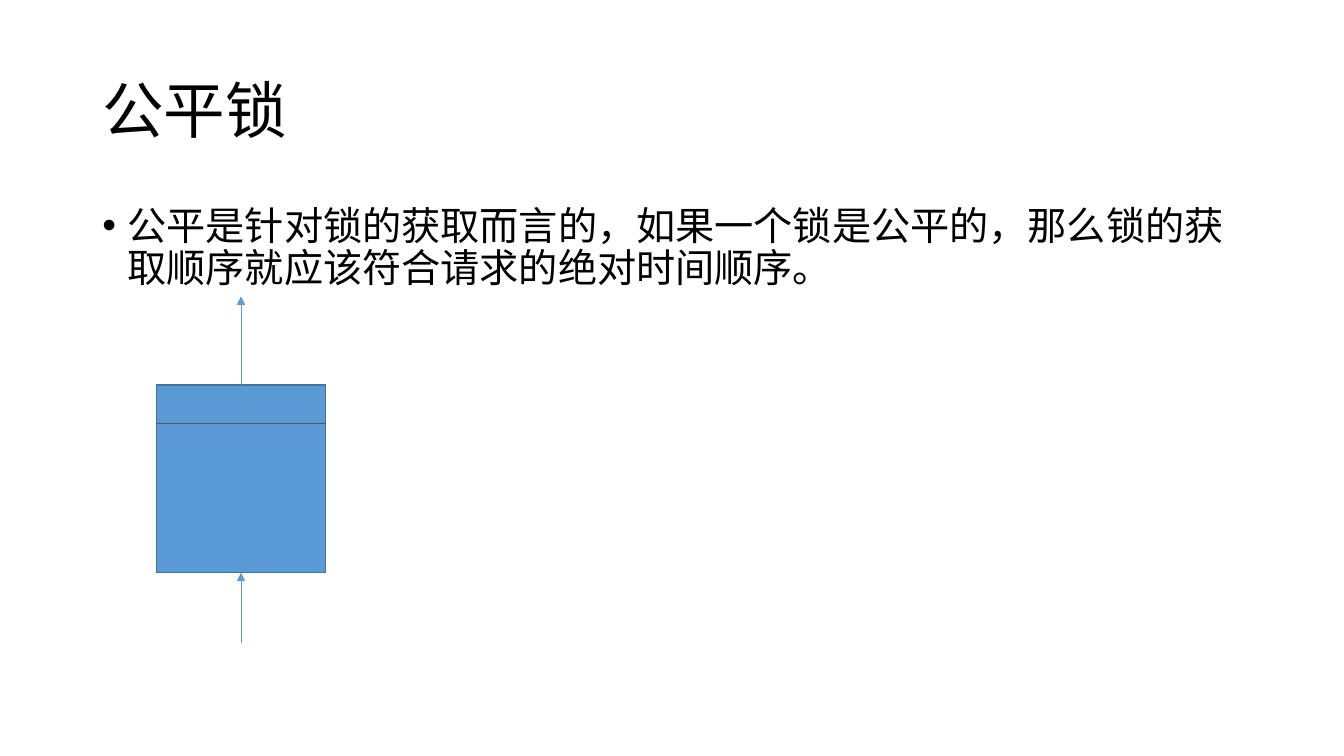
import pptx
import pptx.util
import pptx.dml.color
import pptx.enum.shapes
import pptx.enum.text
import pptx.oxml.ns
from lxml import etree

Cm = pptx.util.Cm
Pt = pptx.util.Pt
Anchor = pptx.enum.text.MSO_ANCHOR
COLORS = {"text": "000000", "fill": "5B9BD5", "edge": "43739E", "rule": "595959"}


def color(name):
    return pptx.dml.color.RGBColor.from_string(COLORS[name])


def add_tag(parent, tag, **attrs):
    return etree.SubElement(parent, pptx.oxml.ns.qn(tag), attrs)


def add_text(slide, box, text, size, anchor, bullet=False):
    frame = slide.shapes.add_textbox(*map(Cm, box)).text_frame
    frame.word_wrap = True
    frame.vertical_anchor = anchor
    para = frame.paragraphs[0]
    para.text = text
    para.line_spacing = 0.9
    if bullet:
        props = para._p.get_or_add_pPr()
        indent = Cm(0.635)
        props.set("marL", str(indent))
        props.set("indent", str(-indent))
        add_tag(props, "a:buFont", typeface="Arial")
        add_tag(props, "a:buChar", char="•")
    font = para.runs[0].font
    for key, value in {"name": "Calibri", "size": Pt(size)}.items():
        setattr(font, key, value)
    font.color.rgb = color("text")


def add_box(slide, box):
    shape = slide.shapes.add_shape(
        pptx.enum.shapes.MSO_SHAPE.RECTANGLE, *map(Cm, box))
    shape.shadow.inherit = False
    shape.fill.solid()
    shape.fill.fore_color.rgb = color("fill")
    shape.line.color.rgb = color("edge")
    shape.line.width = Pt(1)


def add_line(slide, start, end, tint, arrow=False):
    line = slide.shapes.add_connector(
        pptx.enum.shapes.MSO_CONNECTOR.STRAIGHT, *map(Cm, start + end))
    line.line.color.rgb = color(tint)
    line.line.width = Pt(0.5)
    if arrow:
        add_tag(line.line._get_or_add_ln(), "a:tailEnd", type="triangle")
    add_tag(line._element.spPr, "a:effectLst")


def main():
    deck = pptx.Presentation()
    deck.slide_width, deck.slide_height = Cm(33.87), Cm(19.05)
    slide = deck.slides.add_slide(deck.slide_layouts[6])

    add_text(slide, (2.33, 1.01, 29.21, 3.68), "公平锁", 44, Anchor.MIDDLE)
    add_text(slide, (2.33, 5.07, 29.21, 12.09),
             "公平是针对锁的获取而言的，如果一个锁是公平的，那么锁的获取顺序就应该符合请求的绝对时间顺序。",
             28, Anchor.TOP, bullet=True)

    left, top, width, height = queue = (3.94, 9.7, 4.27, 4.73)
    right, base, mid = left + width, top + height, left + width / 2
    add_box(slide, queue)
    for start, end in ((16.21, base), (top, 7.47)):
        add_line(slide, (mid, start), (mid, end), "fill", arrow=True)
    head = top + 0.97
    add_line(slide, (left, head), (right, head), "rule")

    deck.save("out.pptx")


if __name__ == "__main__":
    main()
